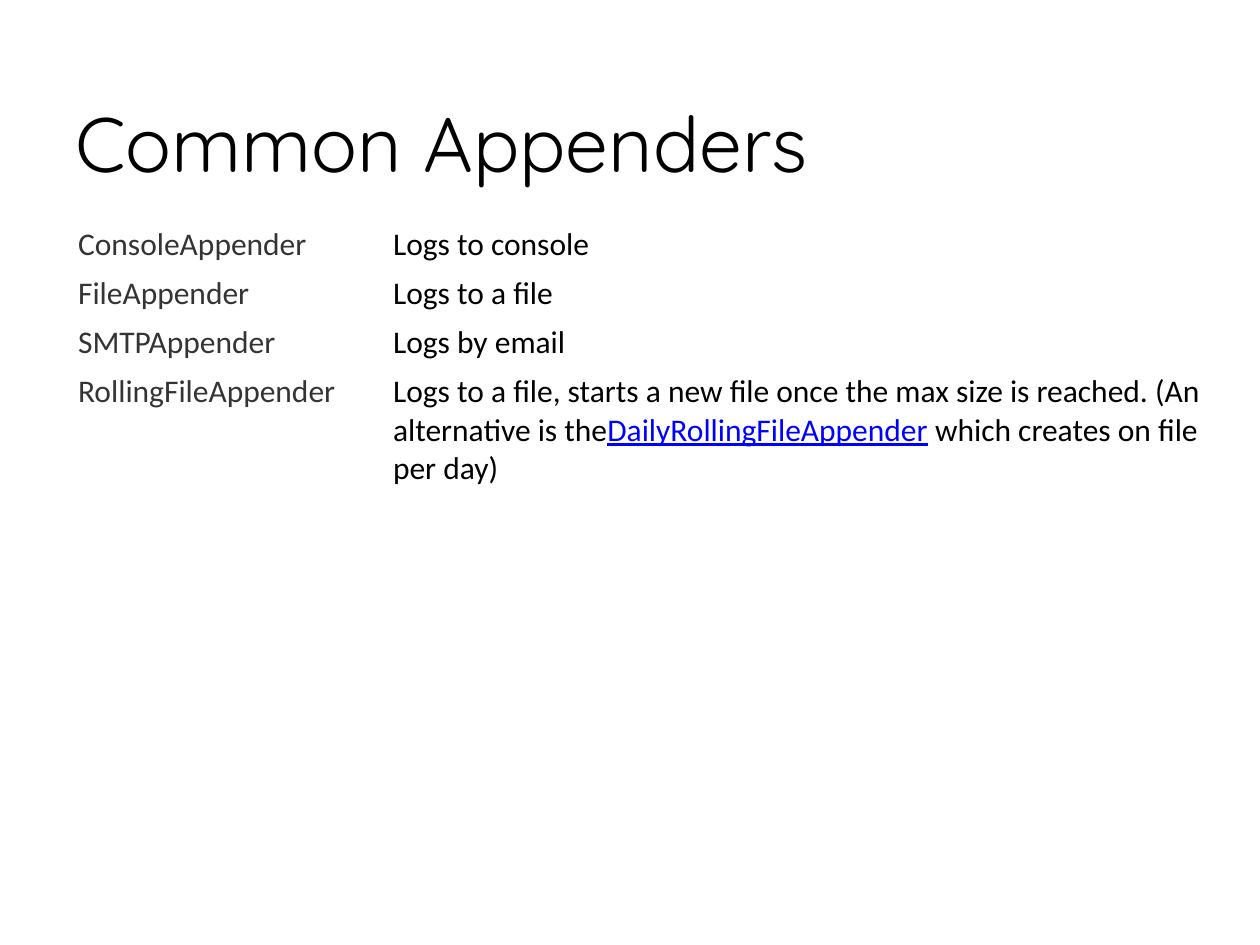
import pptx
import pptx.dml.color
import pptx.enum.text
import pptx.util
from dataclasses import dataclass

Inches = pptx.util.Inches


@dataclass(frozen=True)
class Theme:
    """Colours, fonts and type sizes of the slide."""
    text: str = "000000"
    name: str = "343434"
    link: str = "0000FF"
    title_font: str = "Quicksand"
    body_font: str = "Calibri"
    title_size: int = 44
    body_size: int = 18


THEME = Theme()
TITLE = "Common Appenders"
# Each description is a list of (text, is_link) parts.
APPENDERS = [
    ("ConsoleAppender", [("Logs to console", False)]),
    ("FileAppender", [("Logs to a file", False)]),
    ("SMTPAppender", [("Logs by email", False)]),
    ("RollingFileAppender", [
        ("Logs to a file, starts a new file once the max size is reached. "
         "(An alternative is the", False),
        ("DailyRollingFileAppender", True),
        ("\u00a0which creates on file per day)", False),
    ]),
]
COLUMN_WIDTHS = (2.5, 6.5)
ROW_HEIGHTS = (0.39, 0.39, 0.39, 0.96)
CELL_MARGIN = 0.04


def add_text(paragraph, text, color=THEME.text, font=THEME.body_font,
             size=THEME.body_size, underline=False):
    """Append one formatted run to a paragraph."""
    run = paragraph.add_run()
    run.text = text
    run.font.name = font
    run.font.size = pptx.util.Pt(size)
    run.font.color.rgb = pptx.dml.color.RGBColor.from_string(color)
    if underline:
        run.font.underline = True


def add_title(slide):
    """Add the slide title in a vertically centred text box."""
    shape = slide.shapes.add_textbox(Inches(0.5), Inches(0.5), Inches(9), Inches(1.25))
    frame = shape.text_frame
    frame.word_wrap = True
    frame.vertical_anchor = pptx.enum.text.MSO_ANCHOR.MIDDLE
    add_text(frame.paragraphs[0], TITLE, font=THEME.title_font, size=THEME.title_size)


def prepare_cell(cell):
    """Clear the fill, set the margins and return the cell's paragraph."""
    cell.fill.background()
    cell.margin_left = cell.margin_right = Inches(CELL_MARGIN)
    cell.margin_top = cell.margin_bottom = Inches(CELL_MARGIN)
    return cell.text_frame.paragraphs[0]


def add_appender_table(slide):
    """Add the table of appender names and descriptions."""
    table = slide.shapes.add_table(
        len(APPENDERS), len(COLUMN_WIDTHS), Inches(0.58), Inches(1.75),
        Inches(sum(COLUMN_WIDTHS)), Inches(sum(ROW_HEIGHTS))).table
    table.first_row = False
    table.horz_banding = False
    for column, width in zip(table.columns, COLUMN_WIDTHS):
        column.width = Inches(width)
    for row, height, (name, description) in zip(table.rows, ROW_HEIGHTS, APPENDERS):
        row.height = Inches(height)
        name_paragraph, description_paragraph = [prepare_cell(cell) for cell in row.cells]
        add_text(name_paragraph, name, color=THEME.name)
        for text, is_link in description:
            add_text(description_paragraph, text, underline=is_link,
                     color=THEME.link if is_link else THEME.text)


def main():
    """Build and save the presentation."""
    presentation = pptx.Presentation()
    presentation.slide_width = Inches(10)
    presentation.slide_height = Inches(7.5)
    slide = presentation.slides.add_slide(presentation.slide_layouts[6])
    add_title(slide)
    add_appender_table(slide)
    presentation.save("out.pptx")


main()
